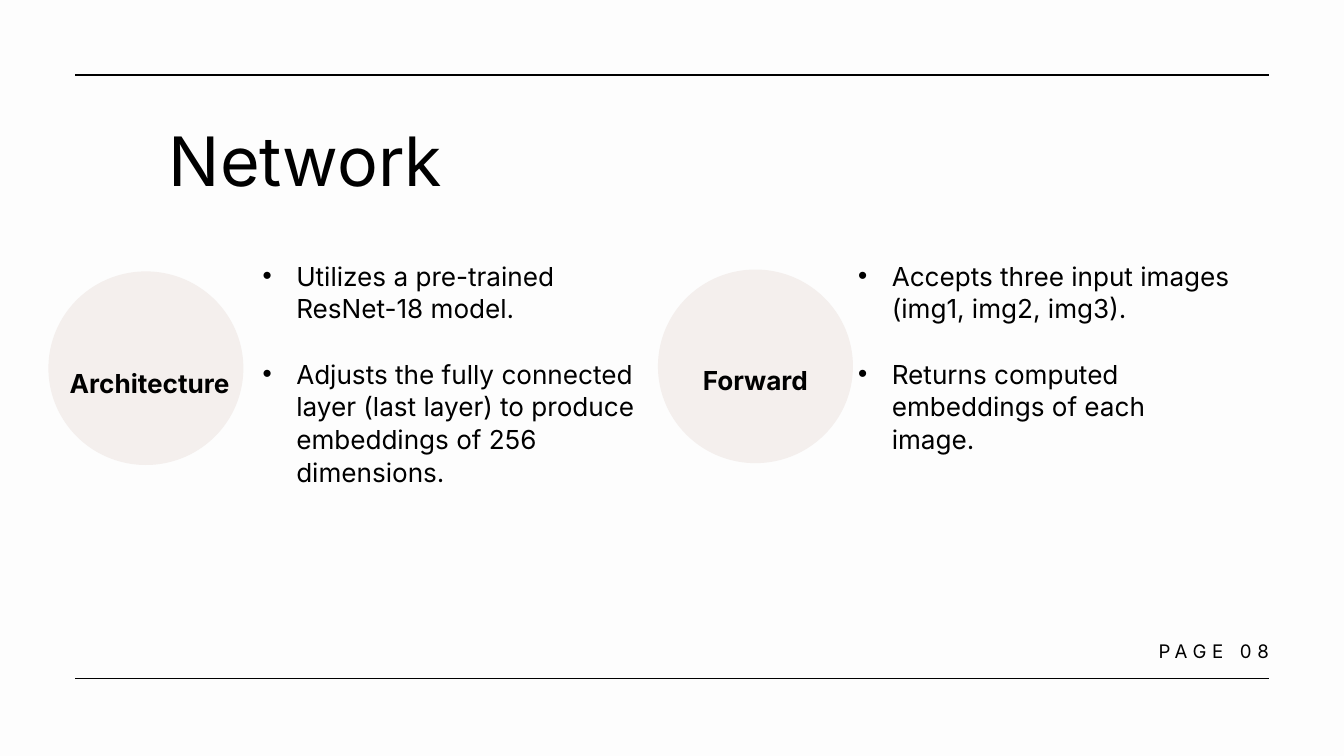
from dataclasses import dataclass

from lxml.etree import SubElement
from pptx import Presentation
from pptx.dml.color import RGBColor as RGB
from pptx.enum.shapes import MSO_CONNECTOR as CONN, MSO_SHAPE as SHAPE
from pptx.enum.text import PP_ALIGN as ALIGN
from pptx.oxml.ns import qn
from pptx.util import Cm, Pt


@dataclass(frozen=True)
class Theme:
    font: str = "Inter"
    paper: RGB = RGB(0xFD, 0xFD, 0xFD)
    ink: RGB = RGB(0, 0, 0)
    disc: RGB = RGB(0xF4, 0xEF, 0xED)
    title: int = 73
    body: int = 28
    footer: int = 20
    rule: float = 1.5


def write(p, text, *, theme, size, leading, bold=False, align=ALIGN.LEFT,
          tracking=0, bullet=False, after=0):
    p.alignment = align
    p.line_spacing = Pt(leading)
    p.space_after = Pt(after)
    r = p.add_run()
    r.text = text
    r.font.name = theme.font
    r.font.size = Pt(size)
    r.font.bold = bold
    r.font.color.rgb = theme.ink
    if tracking:
        r._r.get_or_add_rPr().set("spc", str(tracking * 100))
    if bullet:
        pPr = p._p.get_or_add_pPr()
        pPr.set("marL", str(Cm(1.27)))
        pPr.set("indent", str(-Cm(1.27)))
        SubElement(pPr, qn("a:buFont"), typeface="Arial")
        SubElement(pPr, qn("a:buChar"), char="•")


class Page:
    def __init__(self, prs, theme):
        self.theme = theme
        self.slide = prs.slides.add_slide(prs.slide_layouts[6])
        fill = self.slide.background.fill
        fill.solid()
        fill.fore_color.rgb = theme.paper

    def rule(self, left, right, y):
        line = self.slide.shapes.add_connector(
            CONN.STRAIGHT, Cm(left), Cm(y), Cm(right), Cm(y))
        line.line.color.rgb = self.theme.ink
        line.line.width = Pt(self.theme.rule)
        SubElement(line._element.spPr, qn("a:effectLst"))

    def disc(self, left, top, width, height):
        sp = self.slide.shapes.add_shape(
            SHAPE.OVAL, Cm(left), Cm(top), Cm(width), Cm(height))
        sp.shadow.inherit = False
        sp.fill.solid()
        sp.fill.fore_color.rgb = self.theme.disc
        sp.line.fill.background()

    def text(self, box, *lines, gap=0, **style):
        tf = self.slide.shapes.add_textbox(*map(Cm, box)).text_frame
        tf.word_wrap = True
        tf.margin_left = tf.margin_right = tf.margin_top = tf.margin_bottom = 0
        for i, line in enumerate(lines):
            p = tf.add_paragraph() if i else tf.paragraphs[0]
            after = gap if i < len(lines) - 1 else 0
            write(p, line, theme=self.theme, after=after, **style)


TOPICS = [
    ("Architecture", (1.83, 10.26), (1.12, 10.74, 9.07, 3.58),
     (9.93, 9.78, 14.91, 11.15),
     ["Utilizes a pre-trained ResNet-18 model.",
      "Adjusts the fully connected layer (last layer) to produce "
      "embeddings of 256 dimensions."]),
    ("Forward", (24.87, 10.19), (26.52, 10.62, 4.06, 3.53),
     (32.44, 9.78, 14.1, 7.39),
     ["Accepts three input images (img1, img2, img3).",
      "Returns computed embeddings of each image."]),
]


def main():
    theme = Theme()
    prs = Presentation()
    prs.slide_width, prs.slide_height = Cm(50.8), Cm(28.58)
    page = Page(prs, theme)

    for y in (2.84, 25.65):
        page.rule(2.84, 47.96, y)
    page.text((6.38, 5.84, 15.34, 1.93), "Network",
              size=theme.title, leading=49)
    page.text((39.73, 24.05, 8.23, 0.91), "PAGE 08", size=theme.footer,
              leading=28, align=ALIGN.RIGHT, tracking=6)

    for label, disc_at, label_box, points_box, points in TOPICS:
        page.disc(*disc_at, 7.37, 7.32)
        page.text(label_box, label, size=theme.body, leading=123.1,
                  bold=True, align=ALIGN.CENTER)
        page.text(points_box, *points, size=theme.body, leading=35,
                  bullet=True, gap=35)

    prs.save("out.pptx")


if __name__ == "__main__":
    main()
